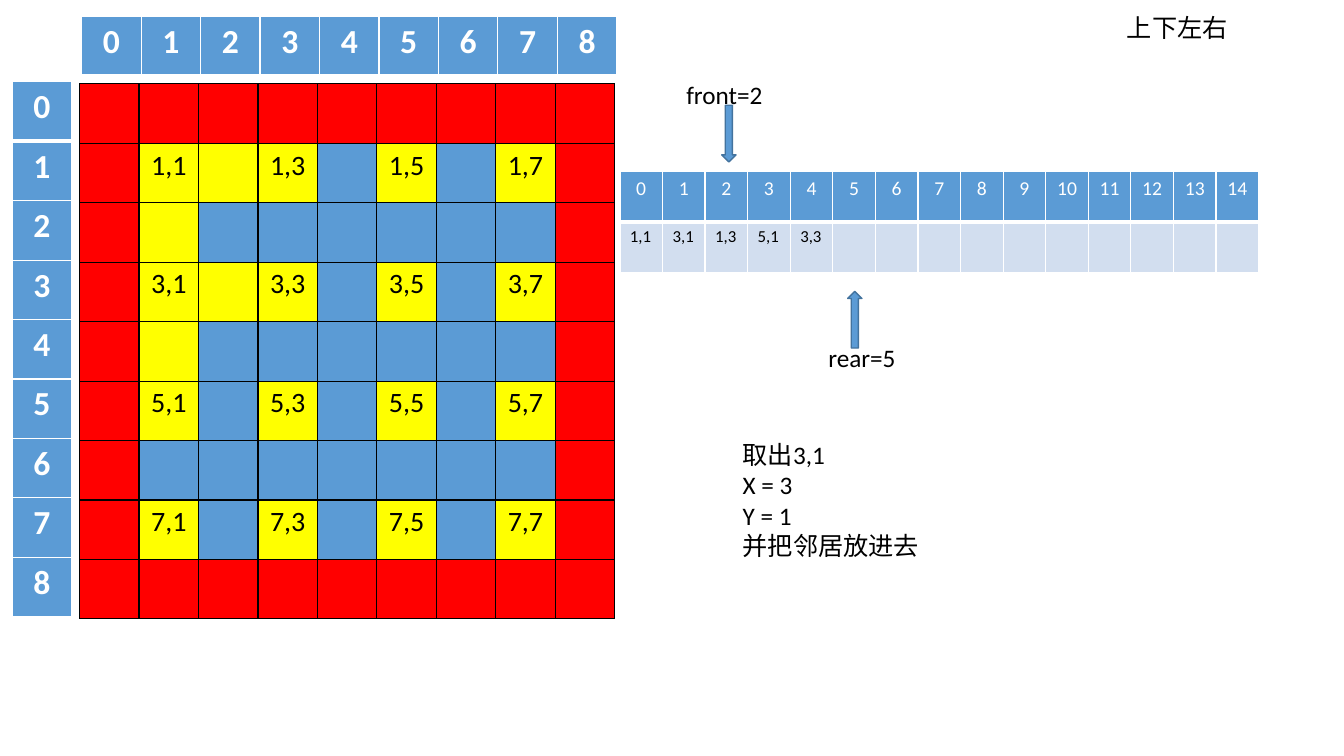
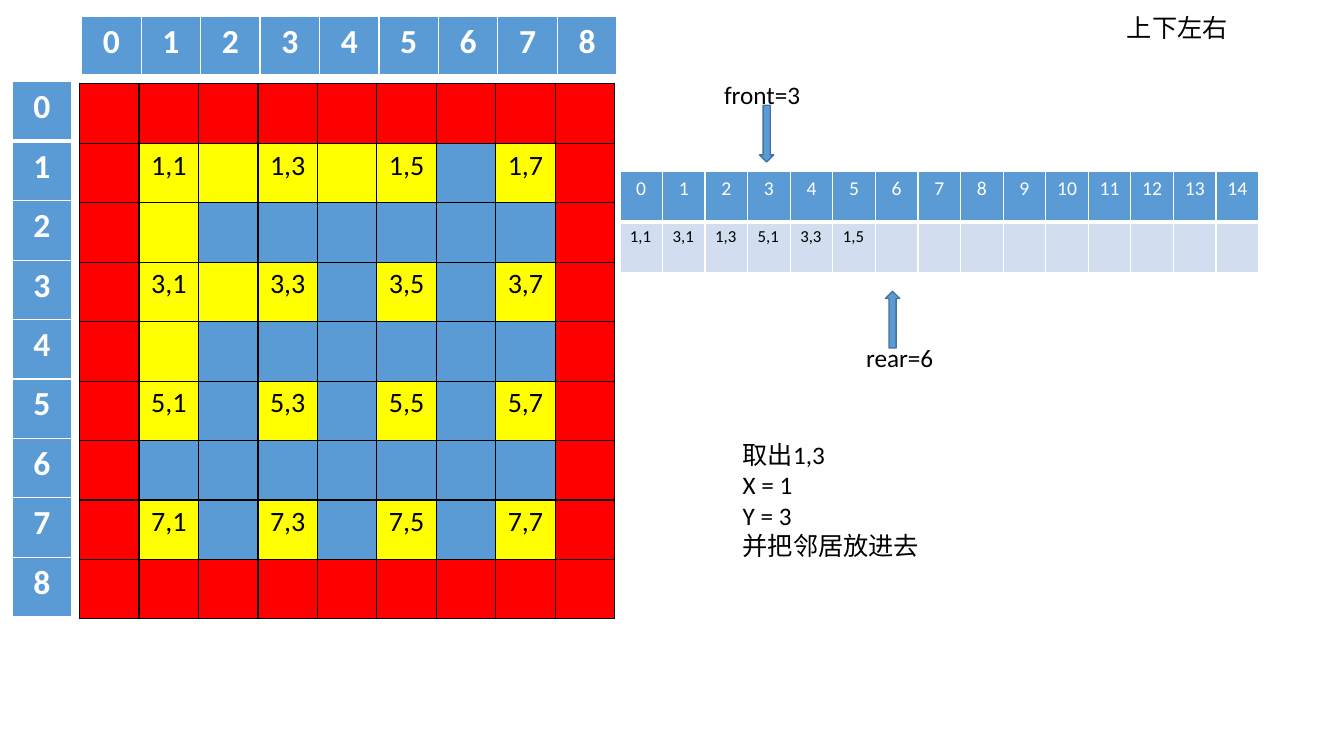
from lxml import etree
from pptx import Presentation
from pptx.dml.color import RGBColor
from pptx.enum import shapes, text
from pptx.oxml.ns import qn
from pptx.util import Pt

HUE = {"wall": "FF0000", "open": "FFFF00", "blue": "5B9BD5", "pale": "D2DEEF",
       "edge": "43739E", "ink": "000000", "white": "FFFFFF"}
FACE = "Calibri"
SIDE = 9        # maze cells per side
CELL = 42.48    # maze cell size
SLOTS = 15      # queue length
SLOT = 30.43    # queue cell width
STEP = 27       # pointer travel per queue index


def color(name):
    return RGBColor.from_string(HUE[name])


def style(par, size, hue="ink", bold=False):
    font = par.font
    font.name, font.size, font.bold = FACE, Pt(size), bold
    font.color.rgb = color(hue)


def border(cell, hue, top=1, bottom=1):
    props = cell._tc.get_or_add_tcPr()
    for side, width in (("L", 1), ("R", 1), ("T", top), ("B", bottom)):
        line = etree.SubElement(props, qn(f"a:ln{side}"), w=str(Pt(width)))
        fill = etree.SubElement(line, qn("a:solidFill"))
        etree.SubElement(fill, qn("a:srgbClr"), val=HUE[hue])


def table(slide, box, rows, cols, look, line="white", head=True):
    """Fill a grid; look(row, col) gives words, fill, size, hue, bold, centred."""
    grid = slide.shapes.add_table(rows, cols, *map(Pt, box)).table
    grid.first_row = grid.horz_banding = False
    for col in grid.columns:
        col.width = Pt(box[2] / cols)
    for row in grid.rows:
        row.height = Pt(box[3] / rows)
    for r in range(rows):
        for c in range(cols):
            words, fill, size, hue, bold, mid = look(r, c)
            cell = grid.cell(r, c)
            border(cell, line, 3 if head and r == 1 else 1,
                   3 if head and r == 0 else 1)
            cell.fill.solid()
            cell.fill.fore_color.rgb = color(fill)
            cell.text = words
            par = cell.text_frame.paragraphs[0]
            style(par, size, hue, bold)
            if mid:
                par.alignment = text.PP_ALIGN.CENTER


def maze(slide, x, y, dug):
    """Draw the maze: rooms lie at odd places, dug lists the opened passages."""
    def look(r, c):
        room = r % 2 == 1 and c % 2 == 1
        if {r, c} & {0, SIDE - 1}:
            fill = "wall"
        else:
            fill = "open" if room or (r, c) in dug else "blue"
        return f"{r},{c}" if room else "", fill, 20, "ink", False, True

    def index(r, c):
        return str(r + c), "blue", 24, "white", True, True

    span = SIDE * CELL
    table(slide, (x, y, span, span), SIDE, SIDE, look, "ink", False)
    table(slide, (x + 1.5, y - 48.2, span, CELL), 1, SIDE, index)
    table(slide, (x - 48.2, y - 1.5, CELL, span), SIDE, 1, index)


def note(parts, x, y, wide, high, lines):
    box = parts.add_textbox(Pt(x), Pt(y), Pt(wide), Pt(high))
    frame = box.text_frame
    frame.word_wrap = False
    frame.auto_size = text.MSO_AUTO_SIZE.SHAPE_TO_FIT_TEXT
    frame.text = "\n".join(lines)
    for par in frame.paragraphs:
        style(par, 18)


def pointer(slide, x, y, label, dx, dy, wide, turn=0):
    """Group an arrow at x, y with a label set off from it by dx, dy."""
    parts = slide.shapes.add_group_shape().shapes
    arrow = parts.add_shape(shapes.MSO_SHAPE.UP_ARROW, Pt(x), Pt(y), Pt(10.2), Pt(40.5))
    arrow.rotation = turn
    arrow.shadow.inherit = False
    arrow.fill.solid()
    arrow.fill.fore_color.rgb = color("blue")
    arrow.line.color.rgb = color("edge")
    arrow.line.width = Pt(1)
    note(parts, x + dx, y + dy, wide, 29, [label])


def queue(slide, x, y, items, front):
    def look(r, c):
        if r == 0:
            return str(c), "blue", 14, "white", False, True
        return items[c] if c < len(items) else "", "pale", 12, "ink", False, False

    rear = len(items)
    table(slide, (x, y, SLOTS * SLOT, 72), 2, SLOTS, look)
    pointer(slide, x + 18.7 + STEP * front, y - 47.2, f"front={front}", -32.4, -22.3, 70, 180)
    pointer(slide, x + 27.7 + STEP * rear, y + 85.7, f"rear={rear}", -20.9, 33.1, 63.4)


def scene(deck, dug, items, front):
    """Show the state after the item just before front has been taken out."""
    slide = deck.slides.add_slide(deck.slide_layouts[6])
    taken = items[front - 1]
    row, col = taken.split(",")
    maze(slide, 56.9, 59.9, dug)
    queue(slide, 442.8, 122.4, items, front)
    note(slide.shapes, 523.4, 310.3, 141.8, 94.3,
         [f"取出{taken}", f"X = {row}", f"Y = {col}", "并把邻居放进去"])
    note(slide.shapes, 797.8, 5, 87.1, 29, ["上下左右"])


def main():
    deck = Presentation()
    deck.slide_width, deck.slide_height = Pt(960), Pt(540)
    dug = {(1, 2), (2, 1), (3, 2), (4, 1)}
    items = ["1,1", "3,1", "1,3", "5,1", "3,3"]
    scene(deck, dug, items, 2)
    scene(deck, dug | {(1, 4)}, items + ["1,5"], 3)
    deck.save("out.pptx")


if __name__ == "__main__":
    main()
